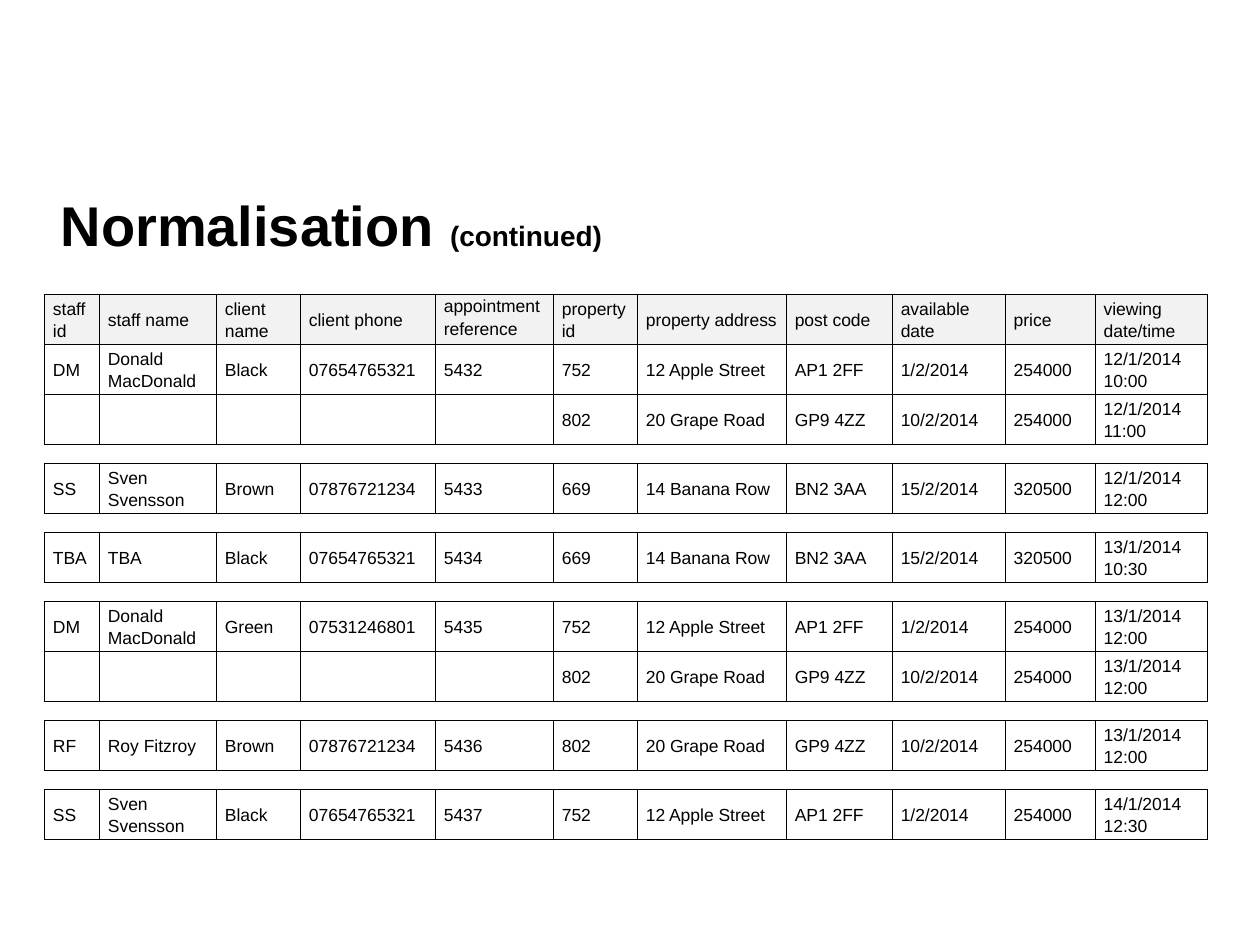
"""Build the slide "Normalisation (continued)": appointment records grouped in aligned tables."""
from lxml.etree import SubElement
from pptx import Presentation
from pptx.dml.color import RGBColor
from pptx.enum.text import MSO_ANCHOR, PP_ALIGN
from pptx.oxml.ns import qn
from pptx.util import Pt

PX = 914400 // 126
FONT = "Arial"
BLACK, HEADER_GREY = "000000", "F2F2F2"

TITLE = [("Normalisation ", 32), ("(continued)", 16)]
TITLE_BOX = (48, 176, 1164, 96)

HEADER = ["staff id", "staff name", "client name", "client phone", "appointment reference",
          "property id", "property address", "post code", "available date", "price",
          "viewing date/time"]
COLUMN_WIDTHS = [55, 117, 84, 135, 118, 84, 149, 106, 113, 90, 113]

PROPERTIES = {
    "752": ["12 Apple Street", "AP1 2FF", "1/2/2014", "254000"],
    "802": ["20 Grape Road", "GP9 4ZZ", "10/2/2014", "254000"],
    "669": ["14 Banana Row", "BN2 3AA", "15/2/2014", "320500"],
}
APPOINTMENTS = [
    (["DM", "Donald MacDonald", "Black", "07654765321", "5432"],
     [("752", "12/1/2014 10:00"), ("802", "12/1/2014 11:00")]),
    (["SS", "Sven Svensson", "Brown", "07876721234", "5433"], [("669", "12/1/2014 12:00")]),
    (["TBA", "TBA", "Black", "07654765321", "5434"], [("669", "13/1/2014 10:30")]),
    (["DM", "Donald MacDonald", "Green", "07531246801", "5435"],
     [("752", "13/1/2014 12:00"), ("802", "13/1/2014 12:00")]),
    (["RF", "Roy Fitzroy", "Brown", "07876721234", "5436"], [("802", "13/1/2014 12:00")]),
    (["SS", "Sven Svensson", "Black", "07654765321", "5437"], [("752", "14/1/2014 12:30")]),
]
TABLE_LEFT, TABLE_TOP, ROW_HEIGHT, TABLE_GAP = 44, 294, 50, 19


def color(hex_value):
    return RGBColor.from_string(hex_value)


def add_run(paragraph, text, size, bold=False):
    run = paragraph.add_run()
    run.text = text
    run.font.name, run.font.size, run.font.bold = FONT, Pt(size), bold
    run.font.color.rgb = color(BLACK)


def add_borders(cell):
    properties = cell._tc.get_or_add_tcPr()
    for side in ("a:lnL", "a:lnR", "a:lnT", "a:lnB"):
        border = SubElement(properties, qn(side), w=str(Pt(0.25)))
        SubElement(SubElement(border, qn("a:solidFill")), qn("a:srgbClr"), val=BLACK)


def fill_cell(cell, text, is_header):
    add_borders(cell)
    if is_header:
        cell.fill.solid()
        cell.fill.fore_color.rgb = color(HEADER_GREY)
    else:
        cell.fill.background()
    cell.margin_left, cell.margin_right = 9 * PX, 8 * PX
    cell.margin_top = cell.margin_bottom = 0
    top_aligned = text == "appointment reference"
    cell.vertical_anchor = MSO_ANCHOR.TOP if top_aligned else MSO_ANCHOR.MIDDLE
    paragraph = cell.text_frame.paragraphs[0]
    paragraph.alignment = PP_ALIGN.LEFT
    paragraph.line_spacing = 1.15
    if text:
        add_run(paragraph, text, 10)


def appointment_rows(person, viewings):
    blanks = [""] * len(person)
    return [(blanks if index else person) + [number, *PROPERTIES[number], viewing_time]
            for index, (number, viewing_time) in enumerate(viewings)]


def add_records(slide, rows, top):
    table = slide.shapes.add_table(
        len(rows), len(HEADER), TABLE_LEFT * PX, top * PX,
        sum(COLUMN_WIDTHS) * PX, len(rows) * ROW_HEIGHT * PX).table
    table.first_row = table.horz_banding = False
    for column, width in zip(table.columns, COLUMN_WIDTHS):
        column.width = width * PX
    for table_row, texts in zip(table.rows, rows):
        table_row.height = ROW_HEIGHT * PX
        for cell, text in zip(table_row.cells, texts):
            fill_cell(cell, text, texts is HEADER)


def add_title(slide):
    title = slide.shapes.title
    title.left, title.top, title.width, title.height = (length * PX for length in TITLE_BOX)
    title.text_frame.vertical_anchor = MSO_ANCHOR.MIDDLE
    paragraph = title.text_frame.paragraphs[0]
    paragraph.alignment = PP_ALIGN.LEFT
    for text, size in TITLE:
        add_run(paragraph, text, size, bold=True)


def main():
    presentation = Presentation()
    presentation.slide_width, presentation.slide_height = 1260 * PX, 945 * PX
    slide = presentation.slides.add_slide(presentation.slide_layouts[5])
    add_title(slide)
    top = TABLE_TOP
    for index, (person, viewings) in enumerate(APPOINTMENTS):
        rows = appointment_rows(person, viewings)
        if index == 0:
            rows.insert(0, HEADER)
        add_records(slide, rows, top)
        top += len(rows) * ROW_HEIGHT + TABLE_GAP
    presentation.save("out.pptx")


if __name__ == "__main__":
    main()
